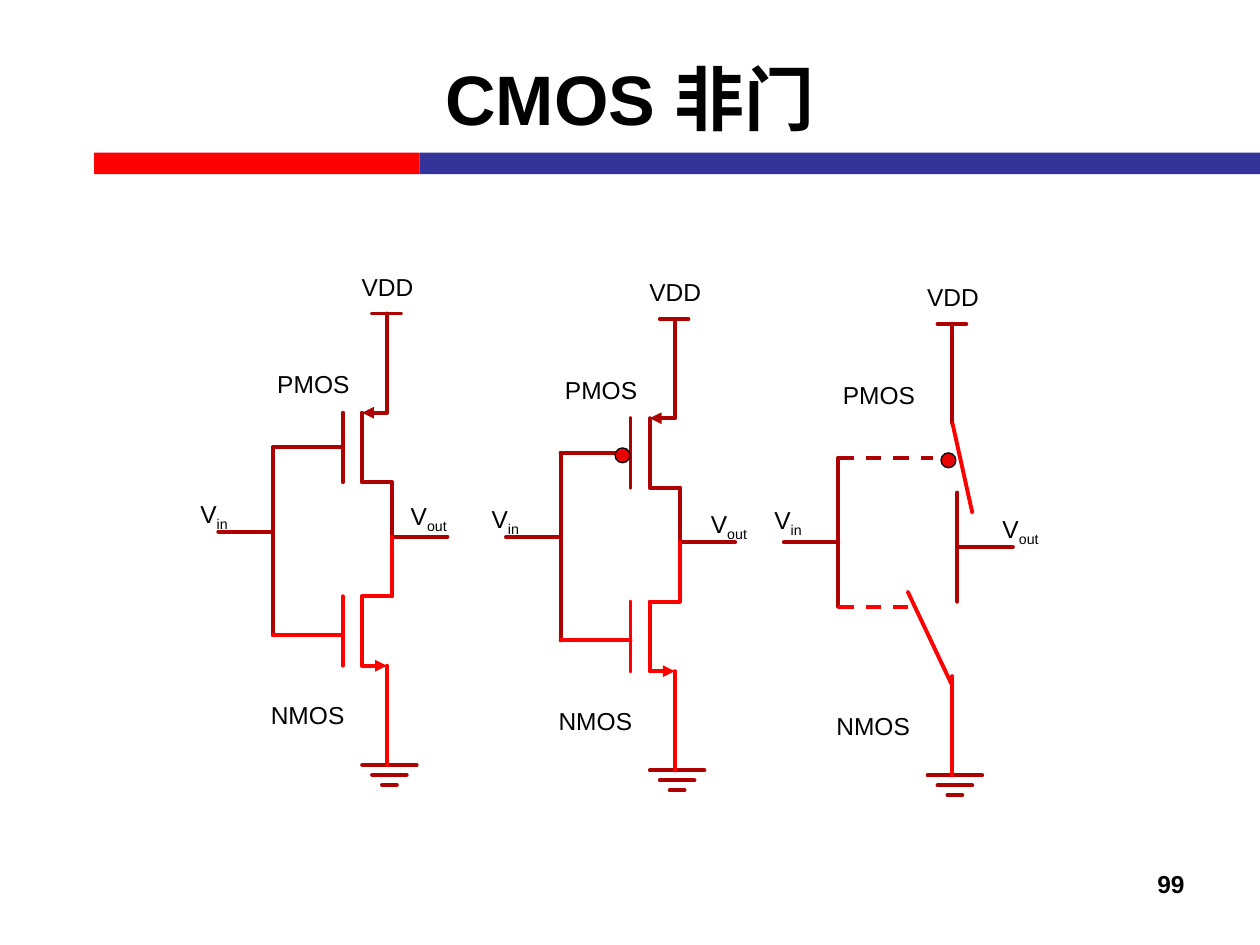
"""Build the CMOS inverter slide with its transistor, bubble and switch diagrams."""
import pptx
import pptx.util
import pptx.dml.color
import pptx.enum.dml
import pptx.enum.shapes
import pptx.enum.text
import pptx.oxml.ns
from lxml import etree

Cm = pptx.util.Cm
Pt = pptx.util.Pt
Align = pptx.enum.text.PP_ALIGN
Anchor = pptx.enum.text.MSO_ANCHOR
Preset = pptx.enum.shapes.MSO_SHAPE

COLORS = {"red": "FF0000", "blue": "333399", "wire": "AD0202",
          "dot": "E70303", "black": "000000"}

SUPPLY = [(0, 0, 0, 2), (-0.3, 0, 0.28, 0)]
GROUND = [(-0.5, 9.1, 0.6, 9.1), (-0.3, 9.3, 0.4, 9.3), (-0.1, 9.5, 0.2, 9.5)]
TERMINALS = [(0.12, 4.5, 1.22, 4.5), (-3.4, 4.4, -2.3, 4.4)]
PMOS = [(-0.5, 2, -0.5, 3.4), (-0.5, 3.4, 0.1, 3.4), (-0.89, 2, -0.89, 3.4),
        (0.1, 3.4, 0.1, 4.6), (-2.3, 2.7, -2.3, 6.48)]
NMOS = [(0.1, 4.5, 0.1, 5.7), (0.1, 5.7, -0.5, 5.7), (-0.5, 5.7, -0.5, 7.1),
        (-0.89, 5.7, -0.89, 7.1), (-2.3, 6.48, -0.89, 6.48)]
SWITCH_WIRES = [(0.1, 3.4, 0.1, 5.6), (-2.3, 2.7, -2.3, 5.7)]
SWITCH_LEVERS = [(0.4, 3.8, 0, 2), (0, 7.3, -0.9, 5.4)]


def rgb(name):
    """Return the named colour."""
    return pptx.dml.color.RGBColor.from_string(COLORS[name])


def add_wire(slide, origin, ends, color="wire", dashed=False, arrow=False):
    """Draw a round-capped wire between two points relative to the origin."""
    x, y = origin
    x1, y1, x2, y2 = ends
    wire = slide.shapes.add_connector(
        pptx.enum.shapes.MSO_CONNECTOR.STRAIGHT,
        Cm(x + x1), Cm(y + y1), Cm(x + x2), Cm(y + y2))
    wire.line.width = Pt(2.25)
    wire.line.color.rgb = rgb(color)
    if dashed:
        wire.line.dash_style = pptx.enum.dml.MSO_LINE.DASH
    else:
        wire.line._get_or_add_ln().set("cap", "rnd")
    stroke = wire.line._get_or_add_ln()
    etree.SubElement(stroke, pptx.oxml.ns.qn("a:round"))
    if arrow:
        etree.SubElement(stroke, pptx.oxml.ns.qn("a:tailEnd"), type="triangle")
    etree.SubElement(wire._element.spPr, pptx.oxml.ns.qn("a:effectLst"))


def add_wires(slide, origin, wires, color="wire"):
    """Draw several plain wires in one colour."""
    for ends in wires:
        add_wire(slide, origin, ends, color)


def add_filled(slide, preset, box, color, outlined=False):
    """Add a filled preset shape, with a thin black outline on request."""
    shape = slide.shapes.add_shape(preset, *(Cm(length) for length in box))
    shape.shadow.inherit = False
    shape.fill.solid()
    shape.fill.fore_color.rgb = rgb(color)
    if outlined:
        shape.line.color.rgb = rgb("black")
        shape.line.width = Pt(0.75)
    else:
        shape.line.fill.background()


def add_text(slide, box, text, subscript="", size=14, bold=False,
             align=Align.LEFT, anchor=Anchor.TOP):
    """Add a text box with an optional subscript after the text."""
    frame = slide.shapes.add_textbox(*(Cm(length) for length in box)).text_frame
    frame.word_wrap = True
    frame.vertical_anchor = anchor
    paragraph = frame.paragraphs[0]
    paragraph.alignment = align
    paragraph.font.name = "Arial"
    paragraph.font.size = Pt(size)
    paragraph.font.bold = bold
    paragraph.font.color.rgb = rgb("black")
    paragraph.add_run().text = text
    if subscript:
        lowered = paragraph.add_run()
        lowered.text = subscript
        lowered.font._element.set("baseline", "-25000")


def add_frame(slide, origin, vin, vout):
    """Draw the supply, ground, terminals and labels shared by every circuit."""
    x, y = origin
    add_wires(slide, origin, SUPPLY + GROUND + TERMINALS)
    add_wire(slide, origin, (0, 7.1, 0, 9.1), "red")
    labels = [("VDD", "", (-0.76, -0.97), 1.98), ("PMOS", "", (-2.46, 1), 1.98),
              ("NMOS", "", (-2.59, 7.67), 2.46), ("V", "in", vin, 1.98),
              ("V", "out", vout, 1.98)]
    for text, subscript, (dx, dy), width in labels:
        add_text(slide, (x + dx, y + dy, width, 0.86), text, subscript)


def add_dot(slide, origin, dx):
    """Draw the inversion bubble at the PMOS gate."""
    x, y = origin
    add_filled(slide, Preset.OVAL, (x + dx, y + 2.6, 0.3, 0.3), "dot", True)


def add_transistors(slide, origin, gate_end):
    """Draw the PMOS and NMOS pair with a gate lead ending at gate_end."""
    add_wires(slide, origin, PMOS + [(-2.3, 2.7, gate_end, 2.7)])
    add_wires(slide, origin, NMOS, "red")
    add_wire(slide, origin, (0, 2, -0.5, 2), arrow=True)
    add_wire(slide, origin, (-0.5, 7.1, 0, 7.1), "red", arrow=True)


def add_switches(slide, origin):
    """Draw the pair as switches with dashed control lines."""
    add_wires(slide, origin, SWITCH_WIRES)
    add_wires(slide, origin, SWITCH_LEVERS, "red")
    add_wire(slide, origin, (-2.3, 2.7, -0.4, 2.7), dashed=True)
    add_wire(slide, origin, (-2.3, 5.7, -0.9, 5.7), "red", dashed=True)


def main():
    """Build and save the slide."""
    deck = pptx.Presentation()
    deck.slide_width, deck.slide_height = Cm(25.4), Cm(19.05)
    slide = deck.slides.add_slide(deck.slide_layouts[6])

    add_filled(slide, Preset.RECTANGLE, (1.9, 3.08, 6.56, 0.43), "red")
    add_filled(slide, Preset.RECTANGLE, (8.46, 3.08, 16.94, 0.43), "blue")
    add_text(slide, (1.27, 0.38, 22.86, 3.18), "CMOS 非门", size=40, bold=True,
             align=Align.CENTER, anchor=Anchor.MIDDLE)

    plain, bubble, switch = (7.8, 6.32), (13.6, 6.43), (19.2, 6.53)
    add_frame(slide, plain, (-4.01, 3.61), (0.23, 3.66))
    add_transistors(slide, plain, -0.89)
    add_frame(slide, bubble, (-3.94, 3.61), (0.48, 3.71))
    add_transistors(slide, bubble, -1.2)
    add_dot(slide, bubble, -1.2)
    add_frame(slide, switch, (-3.84, 3.53), (0.76, 3.71))
    add_switches(slide, switch)
    add_dot(slide, switch, -0.23)

    add_text(slide, (18.21, 17.4, 5.92, 1.27), "99", bold=True, align=Align.RIGHT)
    deck.save("out.pptx")


if __name__ == "__main__":
    main()
